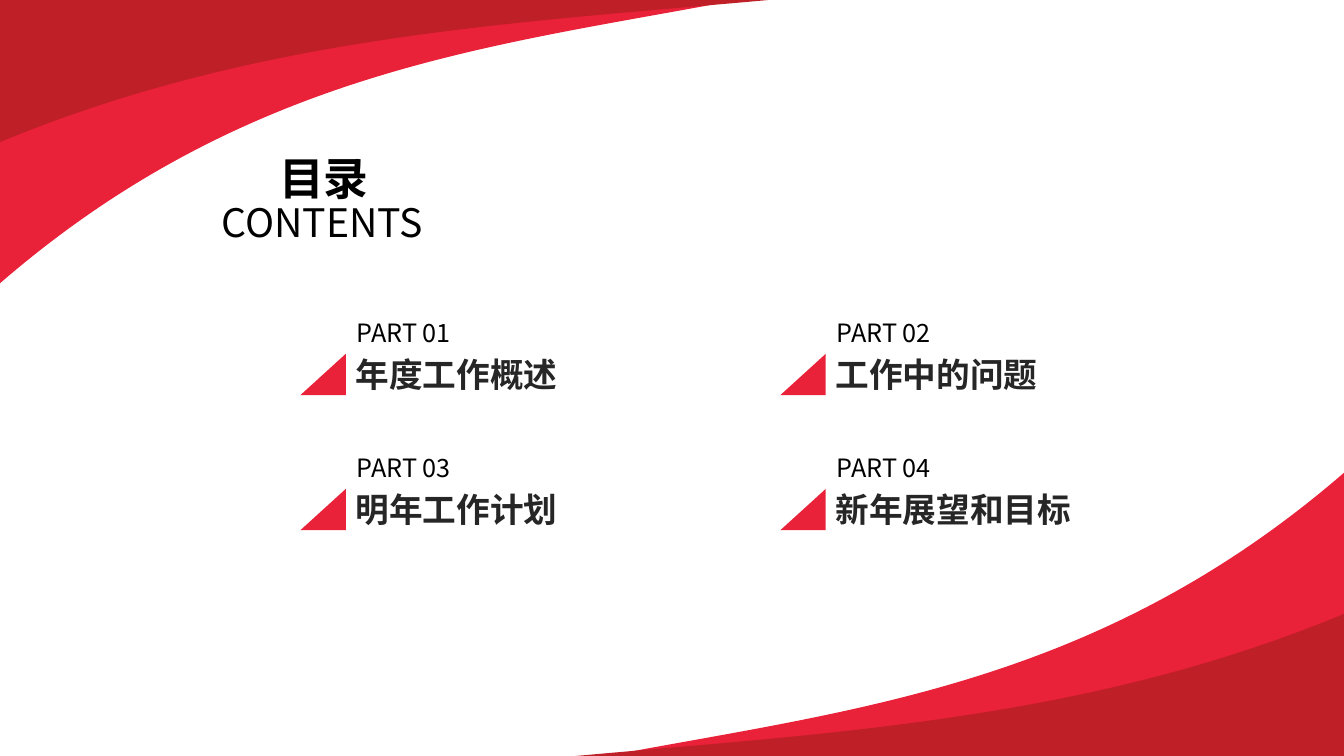
from lxml.etree import Element, SubElement
from pptx import Presentation
from pptx.dml.color import RGBColor
from pptx.enum.shapes import MSO_SHAPE as Shape
from pptx.enum.text import MSO_AUTO_SIZE as AutoSize
from pptx.oxml.ns import qn
from pptx.util import Inches, Pt

RED = RGBColor(0xE9, 0x21, 0x39)
DARK_RED = RGBColor(0xBF, 0x1F, 0x26)
BLACK = RGBColor(0x00, 0x00, 0x00)
CHARCOAL = RGBColor(0x26, 0x26, 0x26)
FONT = "Noto Sans CJK SC"
SLIDE_W, SLIDE_H = 13.33, 7.5
SWOOSHES = [
    (7.31, 2.81, (2.45, 0.69), (4.89, 0.46), RED),
    (7.62, 1.41, (2.55, 0.35), (5.09, 0.23), DARK_RED),
]
PARTS = [
    ("PART 01", "年度工作概述", 2.22),
    ("PART 02", "工作中的问题", 2.22),
    ("PART 03", "明年工作计划", 2.22),
    ("PART 04", "新年展望和目标", 2.66),
]


def paint(shape, color):
    """Give a shape a flat fill with no line or shadow."""
    shape.shadow.inherit = False
    shape.fill.solid()
    shape.fill.fore_color.rgb = color
    shape.line.fill.background()


def add_text(slide, text, left, top, width, height, *, size, color=BLACK, bold=False):
    """Place one line of text in an unwrapped box."""
    box = slide.shapes.add_textbox(Inches(left), Inches(top), Inches(width), Inches(height))
    frame = box.text_frame
    frame.word_wrap = False
    frame.auto_size = AutoSize.SHAPE_TO_FIT_TEXT
    run = frame.paragraphs[0].add_run()
    run.text = text
    run.font.size = Pt(size)
    run.font.bold = bold
    run.font.color.rgb = color
    run.font.name = FONT
    SubElement(run.font._element, qn("a:ea"), typeface=FONT)


def bend(swoosh):
    """Turn the second to fourth line segments of an outline into one cubic curve."""
    segments = list(swoosh.element.iter(qn("a:lnTo")))[1:4]
    curve = Element(qn("a:cubicBezTo"))
    segments[0].addprevious(curve)
    for segment in segments:
        curve.append(segment[0])
        segment.getparent().remove(segment)


def add_corner(shapes, corner_x, corner_y, direction):
    """Draw the two swooshes growing out of one slide corner."""
    for width, height, control_1, control_2, color in SWOOSHES:
        points = [(Inches(corner_x + direction * x), Inches(corner_y + direction * y))
                  for x, y in ((0, height), control_1, control_2, (width, 0), (0, 0))]
        outline = shapes.build_freeform(Inches(corner_x), Inches(corner_y))
        outline.add_line_segments(points, close=True)
        swoosh = outline.convert_to_shape()
        bend(swoosh)
        paint(swoosh, color)


def add_heading(slide, left, top):
    """Write the two-line contents heading."""
    add_text(slide, "目录", left + 0.57, top, 1.1, 0.64, size=32, bold=True)
    add_text(slide, "CONTENTS", left, top + 0.47, 2.23, 0.57, size=28)


def add_part(slide, left, top, label, title, title_width):
    """Draw one contents entry with its triangle marker."""
    marker = slide.shapes.add_shape(Shape.RIGHT_TRIANGLE, Inches(left), Inches(top + 0.41),
                                    Inches(0.45), Inches(0.41))
    marker.element.spPr.get_or_add_xfrm().set("flipH", "1")
    paint(marker, RED)
    add_text(slide, label, left + 0.46, top, 1.15, 0.4, size=18)
    add_text(slide, title, left + 0.45, top + 0.36, title_width, 0.5,
             size=24, color=CHARCOAL, bold=True)


def add_parts(slide, left, top, column_step, row_step):
    """Lay the contents entries out in two columns."""
    for index, part in enumerate(PARTS):
        row, column = divmod(index, 2)
        add_part(slide, left + column * column_step, top + row * row_step, *part)


def main():
    """Build and save the contents slide."""
    deck = Presentation()
    deck.slide_width, deck.slide_height = Inches(SLIDE_W), Inches(SLIDE_H)
    slide = deck.slides.add_slide(deck.slide_layouts[6])
    add_corner(slide.shapes, 0, 0, 1)
    add_corner(slide.shapes.add_group_shape().shapes, SLIDE_W, SLIDE_H, -1)
    add_heading(slide, 2.1, 1.45)
    add_parts(slide, 2.98, 3.1, 4.76, 1.34)
    deck.save("out.pptx")


if __name__ == "__main__":
    main()
